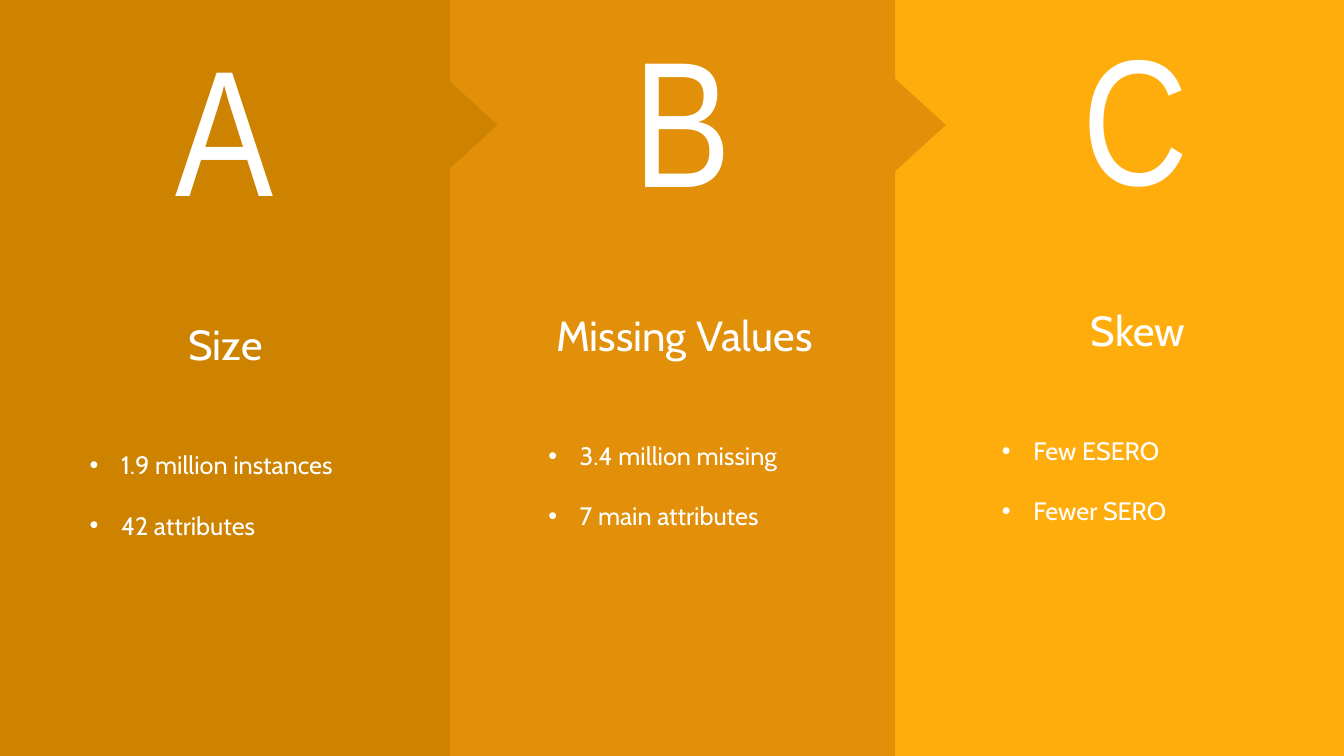
from lxml.etree import SubElement
from pptx import Presentation
from pptx.dml.color import RGBColor
from pptx.enum.shapes import MSO_SHAPE
from pptx.enum.text import MSO_ANCHOR, MSO_AUTO_SIZE, PP_ALIGN
from pptx.oxml.ns import qn
from pptx.util import Cm, Pt

COLORS = {"A": "CD8200", "B": "E28F09", "C": "FFAD0C", "text": "FFFFFF"}
COMPARISON_LAYOUT = 4
PANEL_WIDTH = 11.33
LIST_OFFSET = (2.62, 3.3)

FONTS = {
    "letter": {"name": "Arial Narrow", "size": Pt(128), "bold": False},
    "heading": {"name": "Cabin", "size": Pt(30), "bold": False},
    "list": {"name": "Cabin", "size": Pt(18), "bold": False},
}
PARAGRAPHS = {
    "letter": {"alignment": PP_ALIGN.CENTER},
    "heading": {"alignment": PP_ALIGN.CENTER, "space_before": Pt(0)},
    "list": {"alignment": PP_ALIGN.LEFT, "space_before": Pt(0)},
}
FRAMES = {
    "word_wrap": True,
    "auto_size": MSO_AUTO_SIZE.SHAPE_TO_FIT_TEXT,
    "margin_left": Cm(0.25),
    "margin_right": Cm(0.25),
    "margin_top": Cm(0.13),
    "margin_bottom": Cm(0.13),
}

# Boxes are left, top, width, height in centimetres.
COLUMNS = [
    {
        "letter": "A", "panel_left": 0, "chevron_left": 10.67,
        "letter_box": (-0.25, 0.28, 11.81, 5.74),
        "heading": "Size", "heading_at": (-0.61, 7.9),
        "items": ["1.9 million instances", "42 attributes"],
        "heading_placeholder": 0, "list_placeholder": 2,
    },
    {
        "letter": "B", "panel_left": 11.23, "chevron_left": 21.97,
        "letter_box": (15.04, 0.05, 4.32, 5.74),
        "heading": "Missing Values", "heading_at": (10.95, 7.67),
        "items": ["3.4 million missing", "7 main attributes"],
        "heading_placeholder": 1, "list_placeholder": 4,
    },
    {
        "letter": "C", "panel_left": 22.56, "chevron_left": None,
        "letter_box": (25.88, 0, 5.46, 5.74),
        "heading": "Skew", "heading_at": (22.38, 7.54),
        "items": ["Few ESERO", "Fewer SERO"],
        "heading_placeholder": 3, "list_placeholder": None,
    },
]


def set_attributes(target, values):
    for name, value in values.items():
        setattr(target, name, value)


def add_backdrop(slide, kind, box, color, rotation=0):
    """Add a plain filled shape behind everything already on the slide."""
    shape = slide.shapes.add_shape(kind, *map(Cm, box))
    shape.rotation = rotation
    shape.shadow.inherit = False
    shape.fill.solid()
    shape.fill.fore_color.rgb = RGBColor.from_string(color)
    shape.line.fill.background()
    slide.shapes._spTree.insert(2, shape._element)


def add_bullet(paragraph):
    properties = paragraph._p.get_or_add_pPr()
    properties.set("marL", str(Cm(0.79)))
    properties.set("indent", str(Cm(-0.79)))
    SubElement(properties, qn("a:buFont")).set("typeface", "Arial")
    SubElement(properties, qn("a:buChar")).set("char", "•")


def write_text(slide, lines, style, box, placeholder=None, anchor=MSO_ANCHOR.TOP):
    """Write lines into the numbered placeholder, or into a new text box."""
    box = [Cm(length) for length in box]
    if placeholder is None:
        shape = slide.shapes.add_textbox(*box)
    else:
        shape = slide.placeholders[placeholder]
        set_attributes(shape, dict(zip(("left", "top", "width", "height"), box)))
    frame = shape.text_frame
    set_attributes(frame, FRAMES)
    frame.vertical_anchor = anchor
    frame.text = "\n".join(lines)
    for index, paragraph in enumerate(frame.paragraphs):
        set_attributes(paragraph, PARAGRAPHS[style])
        run = paragraph.runs[0]
        set_attributes(run.font, FONTS[style])
        run.font.color.rgb = RGBColor.from_string(COLORS["text"])
        if style == "list":
            if index:
                paragraph.space_before = Pt(21.4)
            add_bullet(paragraph)


def add_column(slide, column):
    letter = column["letter"]
    color = COLORS[letter]
    if column["chevron_left"] is not None:
        chevron = (column["chevron_left"], 2.49, 2.41, 1.32)
        add_backdrop(slide, MSO_SHAPE.ISOSCELES_TRIANGLE, chevron, color, 90)
    panel = (column["panel_left"], 0, PANEL_WIDTH, 19.05)
    add_backdrop(slide, MSO_SHAPE.RECTANGLE, panel, color)

    left, top = column["heading_at"]
    write_text(slide, [letter], "letter", column["letter_box"],
               anchor=MSO_ANCHOR.MIDDLE)
    write_text(slide, [column["heading"]], "heading", (left, top, 12.6, 1.55),
               column["heading_placeholder"])
    list_box = (left + LIST_OFFSET[0], top + LIST_OFFSET[1], 7.24, 2.57)
    write_text(slide, column["items"], "list", list_box,
               column["list_placeholder"])


def main():
    presentation = Presentation()
    presentation.slide_width = Cm(33.87)
    presentation.slide_height = Cm(19.05)
    layout = presentation.slide_layouts[COMPARISON_LAYOUT]
    slide = presentation.slides.add_slide(layout)
    for column in COLUMNS:
        add_column(slide, column)
    presentation.save("out.pptx")


if __name__ == "__main__":
    main()
